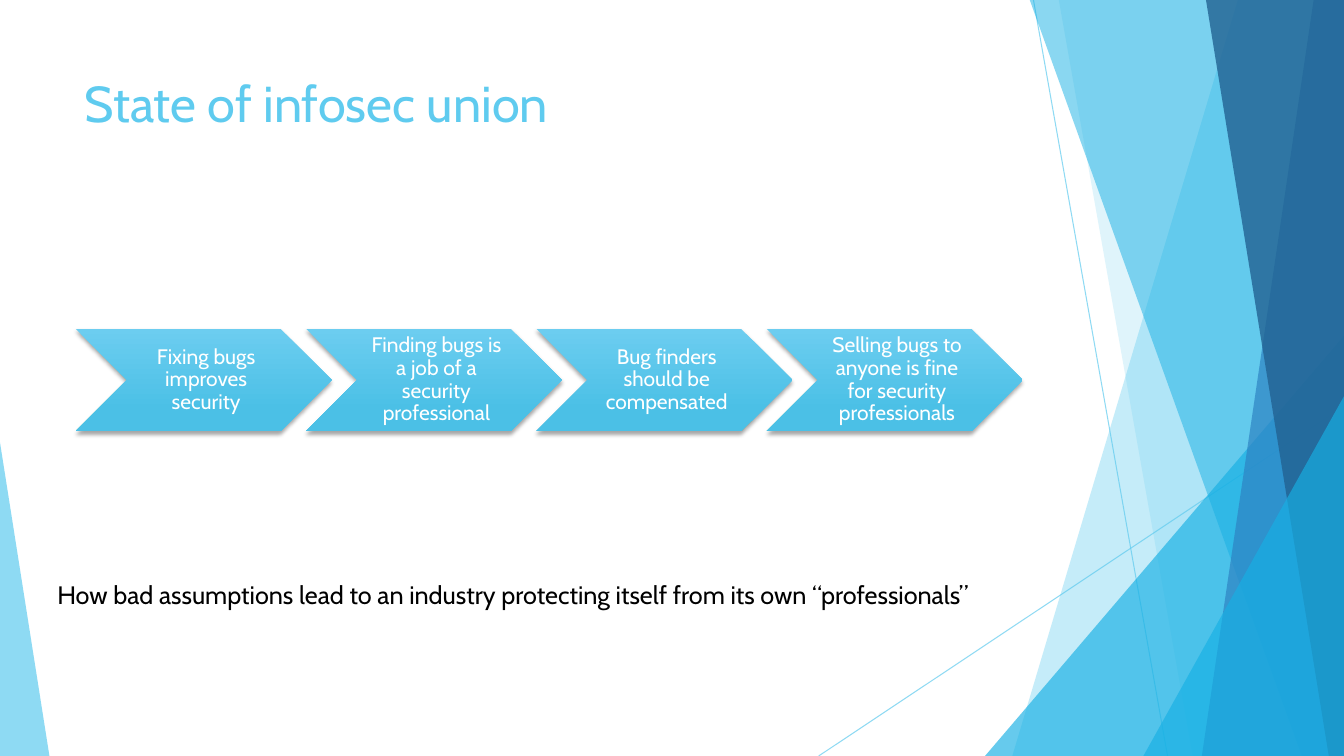
from lxml.etree import SubElement
from pptx import Presentation
from pptx.dml.color import RGBColor
from pptx.enum.shapes import MSO_CONNECTOR, MSO_SHAPE
from pptx.enum.text import MSO_ANCHOR, PP_ALIGN
from pptx.oxml.ns import qn
from pptx.util import Inches, Pt


def set_color(color, hex_string, opacity=100):
    """Set a colour format; the last colour element in it gets the opacity."""
    color.rgb = RGBColor.from_string(hex_string)
    if opacity < 100:
        rgb_element = color._xFill.find(qn("a:srgbClr"))
        SubElement(rgb_element, qn("a:alpha"), val=str(opacity * 1000))


def write_text(shape, text, size, color, frame_format, paragraph_format):
    frame = shape.text_frame
    for name, value in frame_format.items():
        setattr(frame, name, value)
    paragraph = frame.paragraphs[0]
    for name, value in paragraph_format.items():
        setattr(paragraph, name, value)
    run = paragraph.add_run()
    run.text = text
    run.font.name = "Cabin"
    run.font.size = Pt(size)
    set_color(run.font.color, color)


presentation = Presentation()
presentation.slide_width = Inches(13.33)
presentation.slide_height = Inches(7.5)
slide = presentation.slides.add_slide(presentation.slide_layouts[6])
shapes = slide.shapes

# Thin lines behind the facets
for x1, y1, x2, y2 in [(10.25, 0, 11.58, 7.5), (13.33, 4.03, 8.12, 7.5)]:
    connector = shapes.add_connector(
        MSO_CONNECTOR.STRAIGHT, Inches(x1), Inches(y1), Inches(x2), Inches(y2))
    connector.line.width = Pt(0.75)
    set_color(connector.line.color, "5FCBEF", 70)
    SubElement(connector._element.spPr, qn("a:effectLst"))

# Facets from back to front. A band runs from its top and bottom left corners to
# the right edge; a triangle has left, top, width, height and apex position.
facets = [
    ("band", (12.28, 10.04), "5FCBEF", 36),
    ("band", (10.5, 11.83), "5FCBEF", 20),
    ("triangle", (9.77, 3.33, 3.56, 4.17, 1), "17B0E4", 66),
    ("band", (10.21, 12.91), "17B0E4", 50),
    ("band", (13.03, 11.92), "2E83C3", 70),
    ("band", (11.96, 13.18), "226292", 80),
    ("triangle", (11.34, 3.93, 1.99, 3.57, 1), "17B0E4", 66),
    ("triangle", (0, 4.39, 0.49, 3.11, 0), "5FCBEF", 70),
]
for kind, geometry, color, opacity in facets:
    if kind == "band":
        top_left, bottom_left = geometry
        builder = shapes.build_freeform(Inches(top_left), Inches(-0.01))
        corners = [(13.33, -0.01), (13.33, 7.5), (bottom_left, 7.5)]
        builder.add_line_segments([(Inches(x), Inches(y)) for x, y in corners])
        facet = builder.convert_to_shape()
    else:
        *box, apex = geometry
        facet = shapes.add_shape(MSO_SHAPE.ISOSCELES_TRIANGLE, *map(Inches, box))
        facet.adjustments[0] = apex
    facet.shadow.inherit = False
    facet.line.fill.background()
    facet.fill.solid()
    set_color(facet.fill.fore_color, color, opacity)

title = shapes.add_textbox(Inches(0.74), Inches(0.67), Inches(9.4), Inches(1.44))
write_text(title, "State of infosec union", 36, "5FCBEF", {"word_wrap": True}, {})

# Chain of assumptions
assumptions = [
    "Fixing bugs improves security",
    "Finding bugs is a job of a security professional",
    "Bug finders should be compensated",
    "Selling bugs to anyone is fine for security professionals",
]
step_frame = {
    "word_wrap": True, "vertical_anchor": MSO_ANCHOR.MIDDLE,
    "margin_left": Inches(0.07), "margin_right": Inches(0.02),
    "margin_top": Inches(0.02), "margin_bottom": Inches(0.02),
}
step_paragraph = {"alignment": PP_ALIGN.CENTER, "line_spacing": 0.9}
for index, assumption in enumerate(assumptions):
    step = shapes.add_shape(
        MSO_SHAPE.CHEVRON, Inches(0.75 + index * 2.284), Inches(3.26),
        Inches(2.54), Inches(1.02))
    step.line.fill.background()
    step.fill.gradient()
    step.fill.gradient_angle = 270
    for stop, position, color in zip(
            step.fill.gradient_stops, (0, 0.78), ("6CCDF0", "4BC0E6")):
        stop.position = position
        set_color(stop.color, color)
    step.shadow.inherit = False
    shadow = SubElement(
        step._element.spPr.find(qn("a:effectLst")), qn("a:outerShdw"),
        blurRad=str(Pt(3)), dist=str(Pt(2)), dir="5400000", rotWithShape="0")
    shadow_color = SubElement(shadow, qn("a:srgbClr"), val="000000")
    SubElement(shadow_color, qn("a:alpha"), val="35000")
    write_text(step, assumption, 15, "FFFFFF", step_frame, step_paragraph)

conclusion = shapes.add_textbox(Inches(0.47), Inches(5.7), Inches(10.04), Inches(0.4))
write_text(
    conclusion,
    "How bad assumptions lead to an industry protecting itself from its own “professionals”",
    18, "000000", {"word_wrap": False}, {})

presentation.save("out.pptx")
